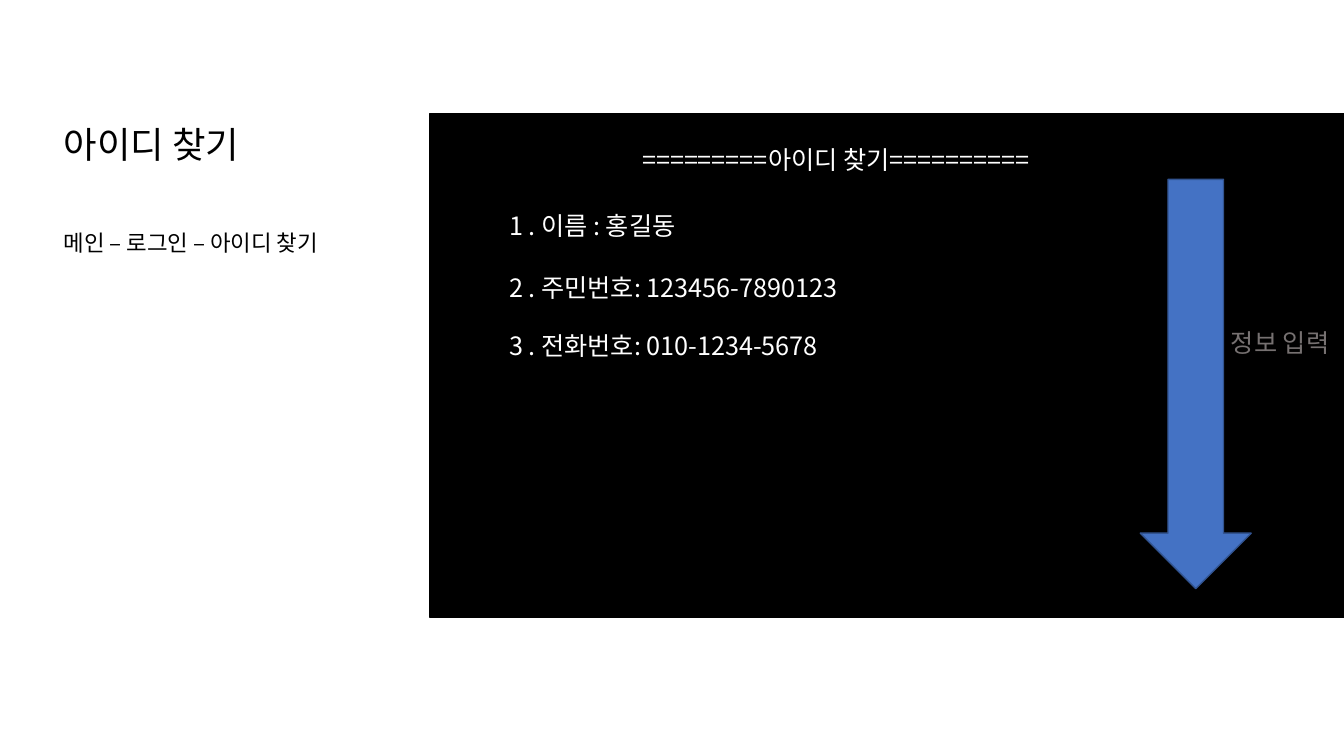
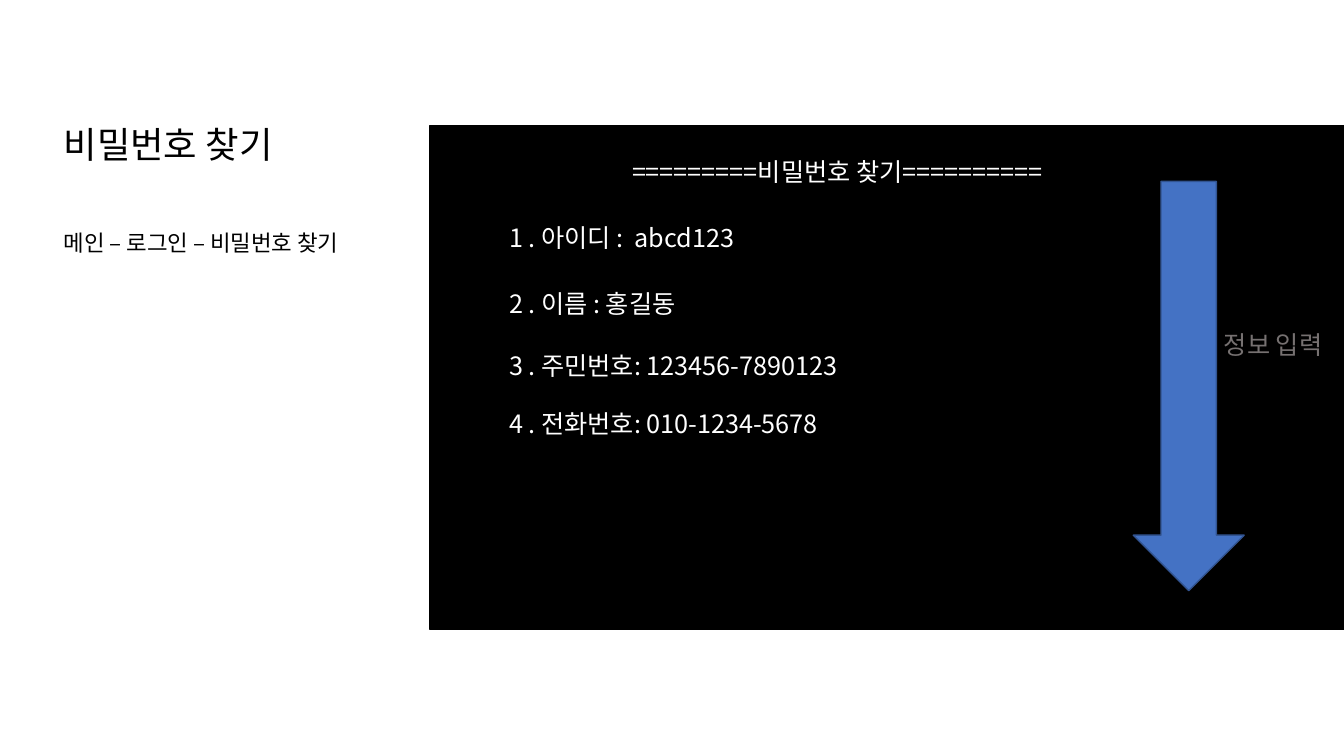
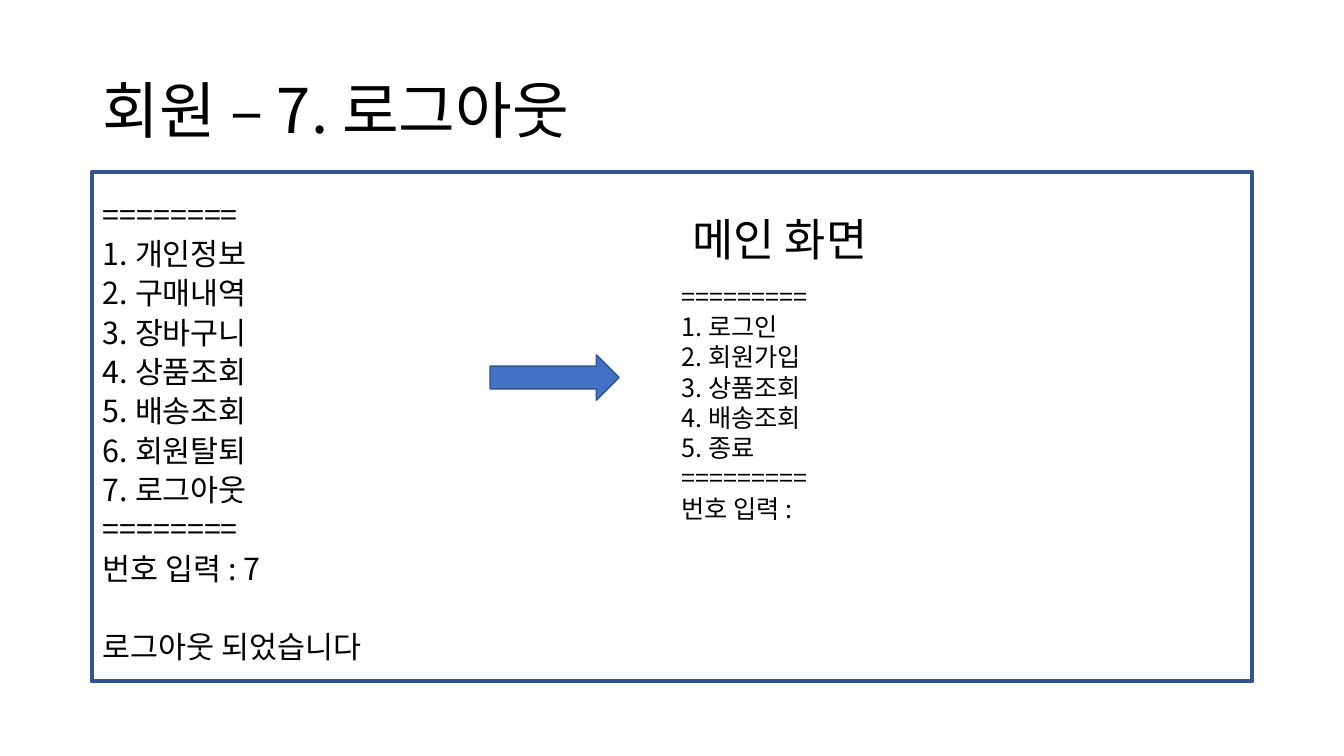
from pptx import Presentation
from pptx.dml.color import RGBColor
from pptx.enum.shapes import MSO_SHAPE
from pptx.enum.text import MSO_ANCHOR, MSO_AUTO_SIZE, PP_ALIGN
from pptx.util import Inches, Pt
from lxml import etree

RECT, DOWN, RIGHT = MSO_SHAPE.RECTANGLE, MSO_SHAPE.DOWN_ARROW, MSO_SHAPE.RIGHT_ARROW
TOP, MIDDLE, NOFIT = MSO_ANCHOR.TOP, MSO_ANCHOR.MIDDLE, MSO_AUTO_SIZE.NONE
LEFT, CENTER = PP_ALIGN.LEFT, PP_ALIGN.CENTER

# Shared look
BLACK, WHITE, GREY, BLUE, NAVY = "000000", "FFFFFF", "767171", "4472C4", "325491"
FONT = "Noto Sans CJK KR"
NS = "{http://schemas.openxmlformats.org/drawingml/2006/main}"
HEAD = {"line_spacing": 1.0}
CRUMB = {"line_spacing": 0.9}
MENU = {"line_spacing": 0.63, "space_before": Pt(11.7)}

deck = Presentation()
deck.slide_width, deck.slide_height = Inches(13.33), Inches(7.5)


def write(box, at, lines, size, color=BLACK, font=FONT, anchor=TOP, align=LEFT, wrap=True, form=HEAD):
    """Place a text box or placeholder and fill it with unbulleted lines."""
    box.left, box.top, box.width, box.height = [Inches(v) for v in at]
    frame = box.text_frame
    frame.text = "\n".join(lines)
    for key, val in {"word_wrap": wrap, "auto_size": NOFIT, "vertical_anchor": anchor}.items():
        setattr(frame, key, val)
    for para in frame.paragraphs:
        for key, val in {"alignment": align, "space_before": Pt(0), **form}.items():
            setattr(para, key, val)
        props = para._p.get_or_add_pPr()
        props.set("marL", "0")
        props.set("indent", "0")
        etree.SubElement(props, NS + "buNone")
        run = para.runs[0]
        run.font.name, run.font.size = font, Pt(size)
        run.font.color.rgb = RGBColor.from_string(color)
        etree.SubElement(run._r.get_or_add_rPr(), NS + "ea", typeface=FONT)
    return frame


def draw(slide, kind, at, fill, line, width=1):
    """Add a flat preset shape; no fill when fill is None."""
    shape = slide.shapes.add_shape(kind, *[Inches(v) for v in at])
    shape.shadow.inherit = False
    if fill:
        shape.fill.solid()
        shape.fill.fore_color.rgb = RGBColor.from_string(fill)
    else:
        shape.fill.background()
    shape.line.color.rgb = RGBColor.from_string(line)
    shape.line.width = Pt(width)


# Account search: title, panel top, header left, arrow place, rows with tops
FINDS = [
    ("아이디 찾기", 1.13, 6.27, (11.31, 1.78),
     [("이름 : 홍길동", 2.04), ("주민번호: 123456-7890123", 2.65),
      ("전화번호: 010-1234-5678", 3.23)]),
    ("비밀번호 찾기", 1.25, 6.17, (11.24, 1.8),
     [("아이디 :  abcd123", 2.16), ("이름 : 홍길동", 2.81),
      ("주민번호: 123456-7890123", 3.43), ("전화번호: 010-1234-5678", 4)]),
]
for name, top, left, (x, y), rows in FINDS:
    slide = deck.slides.add_slide(deck.slide_layouts[1])
    title, body = slide.placeholders
    write(title, (0.53, 1.16, 3.48, 0.54), [name], 26)
    write(body, (0.53, 2.25, 3.48, 2.77), [f"메인 – 로그인 – {name}"], 16, font="Arial", form=CRUMB)

    # Console panel
    draw(slide, RECT, (4.26, top, 9.07, 4.99), BLACK, BLACK)
    texts = [(left, top + 0.25, "=" * 9 + name + "=" * 10, WHITE)]
    texts += [(4.95, row, f"{num} . {text}", WHITE) for num, (text, row) in enumerate(rows, 1)]

    # Arrow and its label
    draw(slide, DOWN, (x, y, 1.1, 4.06), BLUE, NAVY)
    texts.append((x + 0.8, y + 1.42, "정보 입력", GREY))
    for tx, ty, text, color in texts:
        write(slide.shapes.add_textbox(0, 0, 0, 0), (tx, ty, 1.3 if color == GREY else 5.25, 0.4),
              [text], 18, color, wrap=False)

# Logout: member menu
slide = deck.slides.add_slide(deck.slide_layouts[1])
title, body = slide.placeholders
write(title, (0.92, 0.4, 11.5, 1.45), ["회원 – 7. 로그아웃"], 44, anchor=MIDDLE, form=CRUMB)
items = ["개인정보", "구매내역", "장바구니", "상품조회", "배송조회", "회원탈퇴", "로그아웃"]
menu = [f"{num}. {item}" for num, item in enumerate(items, 1)]
rule = "=" * 8
frame = write(body, (0.92, 2.01, 11.5, 4.76),
              [rule, *menu, rule, "번호 입력 : 7", "로그아웃 되었습니다"], 21.7, form=MENU)
frame.paragraphs[-1].space_before = Pt(39.6)

# Main screen menu
items = ["로그인", "회원가입", "상품조회", "배송조회", "종료"]
menu = [f"{num}. {item}" for num, item in enumerate(items, 1)]
rule = "=" * 9
write(slide.shapes.add_textbox(0, 0, 0, 0), (6.66, 2.74, 6.67, 2.52),
      [rule, *menu, rule, "번호 입력 :"], 18)
write(slide.shapes.add_textbox(0, 0, 0, 0), (6.66, 2.05, 2.15, 0.64),
      ["메인 화면"], 32, align=CENTER, wrap=False)

# Arrow and frame
draw(slide, RIGHT, (4.86, 3.52, 1.28, 0.45), BLUE, NAVY)
draw(slide, RECT, (0.91, 1.71, 11.51, 5.05), None, NAVY, 3)

deck.save("out.pptx")
